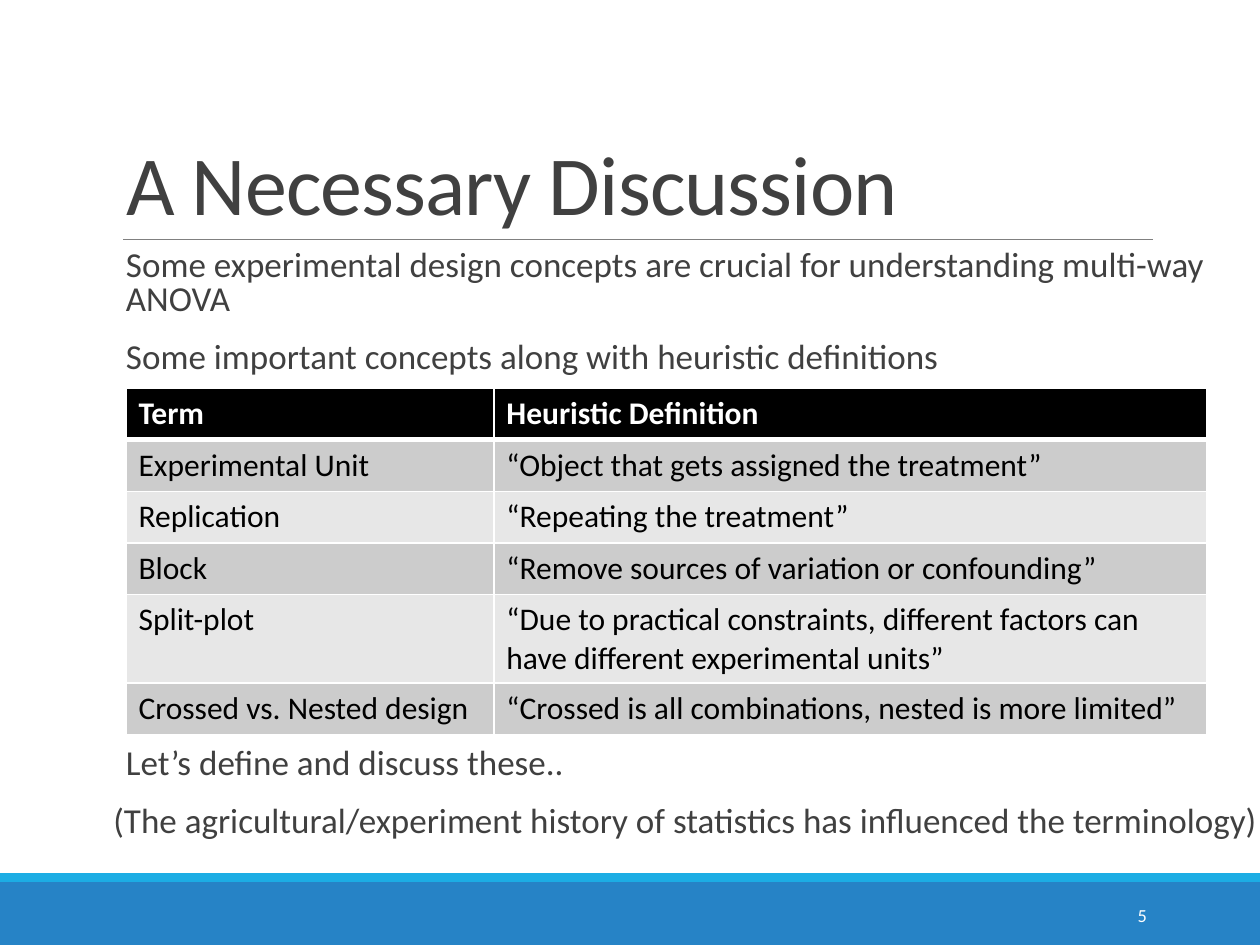
from lxml.etree import SubElement
from pptx import Presentation
from pptx.dml.color import RGBColor
from pptx.enum.shapes import MSO_CONNECTOR, MSO_SHAPE
from pptx.enum.text import MSO_ANCHOR, MSO_AUTO_SIZE, PP_ALIGN
from pptx.oxml.ns import qn
from pptx.util import Inches, Pt

GREY = "404040"
ROWS = [
    ("Term", "Heuristic Definition"),
    ("Experimental Unit", "“Object that gets assigned the treatment”"),
    ("Replication", "“Repeating the treatment”"),
    ("Block", "“Remove sources of variation or confounding”"),
    ("Split-plot", "“Due to practical constraints, different factors can "
                   "have different experimental units”"),
    ("Crossed vs. Nested design",
     "“Crossed is all combinations, nested is more limited”"),
]
HIGH = [0.41, 0.41, 0.41, 0.41, 0.7, 0.41]


def color(code):
    return RGBColor.from_string(code)


def style(par, size, code, bold=False):
    font = par.font
    font.name, font.size, font.bold = "Calibri", Pt(size), bold
    font.color.rgb = color(code)


def add_title(slide, text, left, top, width, height):
    title = slide.shapes.title
    title.left, title.top = Inches(left), Inches(top)
    title.width, title.height = Inches(width), Inches(height)
    frame = title.text_frame
    frame.text = text
    frame.auto_size = MSO_AUTO_SIZE.NONE
    frame.vertical_anchor = MSO_ANCHOR.BOTTOM
    par = frame.paragraphs[0]
    par.alignment, par.line_spacing = PP_ALIGN.LEFT, 0.85
    style(par, 48, GREY)
    # Tighter letter spacing
    par.runs[0].font._element.set("spc", "-50")
    # Rule under the title
    base = Inches(top + height)
    rule = slide.shapes.add_connector(
        MSO_CONNECTOR.STRAIGHT, Inches(left + 0.08), base,
        Inches(left + width), base)
    rule.line.color.rgb, rule.line.width = color("808080"), Pt(0.5)
    SubElement(rule._element.spPr, qn("a:effectLst"))


def add_text(slide, lines, left, top, width, height):
    """Place (text, indent) lines as paragraphs in one box."""
    box = slide.shapes.add_textbox(
        Inches(left), Inches(top), Inches(width), Inches(height))
    frame = box.text_frame
    frame.word_wrap = True
    frame.margin_left = frame.margin_right = 0
    for i, (text, indent) in enumerate(lines):
        par = frame.add_paragraph() if i else frame.paragraphs[0]
        par.text = text
        par._p.get_or_add_pPr().set("marL", str(Inches(indent)))
        par.line_spacing, par.space_after = 0.8, Pt(2)
        par.space_before = Pt(12 if i else 0)
        style(par, 20, GREY)


def add_border(cell, side, width):
    props = cell._tc.get_or_add_tcPr()
    line = SubElement(props, qn(f"a:ln{side}"), w=str(Pt(width)))
    fill = SubElement(line, qn("a:solidFill"))
    SubElement(fill, qn("a:srgbClr"), val="FFFFFF")


def add_terms(slide, left, top, width, height):
    table = slide.shapes.add_table(
        len(ROWS), 2, Inches(left), Inches(top),
        Inches(width), Inches(height)).table
    first = 2.92
    table.columns[0].width = Inches(first)
    table.columns[1].width = Inches(width - first)
    for r, texts in enumerate(ROWS):
        table.rows[r].height = Inches(HIGH[r])
        head = r == 0
        back = "000000" if head else ("CCCCCC" if r % 2 else "E7E7E7")
        for c, text in enumerate(texts):
            cell = table.cell(r, c)
            cell.text = text
            style(cell.text_frame.paragraphs[0], 18,
                  "FFFFFF" if head else "000000", head)
            # Borders come before the fill in a cell
            for side in "LRTB":
                thick = (head and side == "B") or (r == 1 and side == "T")
                add_border(cell, side, 3 if thick else 1)
            cell.fill.solid()
            cell.fill.fore_color.rgb = color(back)


def add_footer(slide, number, left, top, width, height):
    strip = 0.07
    bands = [(top + strip, height - strip, "2683C6"), (top, strip, "1CADE4")]
    for y, tall, code in bands:
        band = slide.shapes.add_shape(
            MSO_SHAPE.RECTANGLE, Inches(left), Inches(y),
            Inches(width), Inches(tall))
        band.shadow.inherit = False
        band.fill.solid()
        band.fill.fore_color.rgb = color(code)
        band.line.fill.background()
    # Slide number
    box = slide.shapes.add_textbox(
        Inches(left + 8.12), Inches(top + 0.13), Inches(1.08), Inches(0.4))
    frame = box.text_frame
    frame.word_wrap = True
    frame.vertical_anchor = MSO_ANCHOR.MIDDLE
    par = frame.paragraphs[0]
    par.text, par.alignment = number, PP_ALIGN.RIGHT
    style(par, 10.5, "FFFFFF")


def main():
    deck = Presentation()
    deck.slide_width, deck.slide_height = Inches(10), Inches(7.5)
    slide = deck.slides.add_slide(deck.slide_layouts[5])
    add_footer(slide, "5", 0, 6.93, 10, 0.57)
    add_title(slide, "A Necessary Discussion", 0.9, 0.31, 8.25, 1.59)
    # Text above and below the table
    add_text(slide, [
        ("Some experimental design concepts are crucial for "
         "understanding multi-way ANOVA", 0.1),
        ("Some important concepts along with heuristic definitions", 0.1),
    ], 0.9, 1.94, 9.1, 1.1)
    add_terms(slide, 1, 3.08, 8.58, 2.73)
    add_text(slide, [
        ("Let’s define and discuss these..", 0.1),
        ("(The agricultural/experiment history of statistics has "
         "influenced the terminology)", 0),
    ], 0.9, 5.89, 9.1, 0.9)
    deck.save("out.pptx")


if __name__ == "__main__":
    main()
